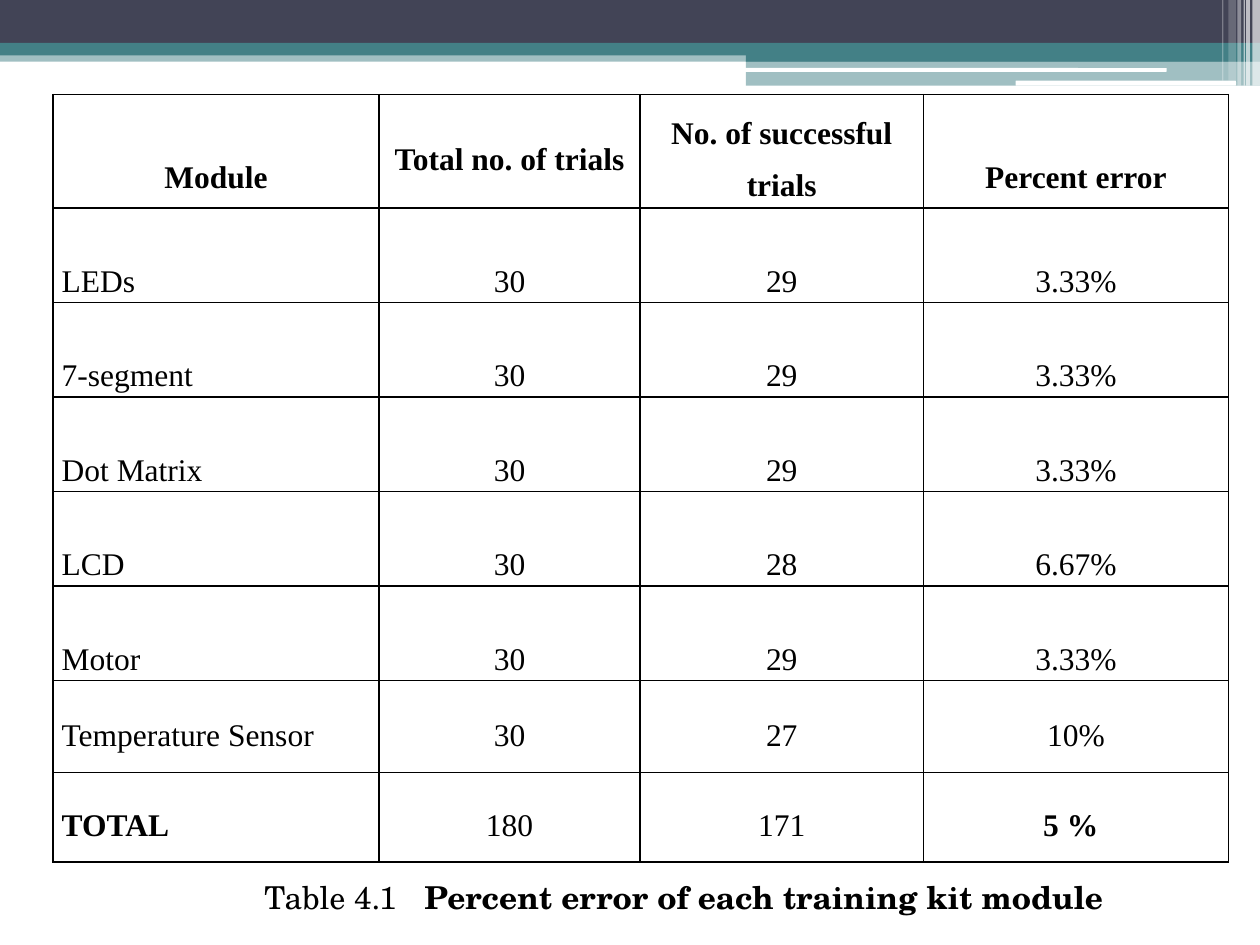
from dataclasses import dataclass

from lxml import etree
from pptx import Presentation
from pptx import util as u
from pptx.dml.color import RGBColor
from pptx.enum import shapes, text
from pptx.oxml import ns

NAVY = RGBColor(0x42, 0x44, 0x56)
TEAL = RGBColor(0x43, 0x80, 0x86)
WHITE = RGBColor(0xFF, 0xFF, 0xFF)
BLACK = RGBColor(0x00, 0x00, 0x00)

SLIDE_W, SLIDE_H = u.Inches(10), u.Inches(7.5)
COLS, ROWS = 100, 75
TABLE_FONT, CAPTION_FONT = "Times New Roman", "TeX Gyre Schola"
CENTER, JUSTIFY, LEFT = text.PP_ALIGN.CENTER, text.PP_ALIGN.JUSTIFY, text.PP_ALIGN.LEFT


@dataclass(frozen=True)
class Band:
    left: float
    top: float
    width: float
    height: float
    color: RGBColor
    opacity: int = 100
    rounded: bool = False


@dataclass(frozen=True)
class Row:
    values: tuple[str, ...]
    height: float
    spacing: tuple[float, ...]
    bold: tuple[bool, ...] = (False,) * 4


BANDS = [
    Band(0, 4, 100, 0.9, TEAL, 50),
    Band(0, 0, 100, 3.4, NAVY),
    Band(0, 3.4, 100, 1, TEAL),
    Band(59.2, 3.9, 40.8, 1, TEAL),
    Band(59.2, 4.8, 40.8, 2, TEAL, 50),
    Band(59.1, 5.4, 33.5, 0.3, WHITE, rounded=True),
    Band(80.6, 6.4, 17.5, 0.4, WHITE, rounded=True),
    Band(99.4, 0, 0.6, 6.8, WHITE, 65),
    Band(98.9, 0, 0.3, 6.8, WHITE, 65),
    Band(98.7, 0, 0.1, 6.8, WHITE, 60),
    Band(98.2, 0, 0.3, 6.8, WHITE, 40),
    Band(97.5, 0, 0.6, 6.4, WHITE, 20),
    Band(97, 0, 0.1, 6.4, WHITE, 30),
]

WIDE, NARROW = (2.5,) * 4, (1.5,) * 4
TABLE_COLS = [25.9, 20.7, 22.5, 24.2]
TABLE_ROWS = [
    Row(("Module", "Total no. of trials", "No. of successful trials", "Percent error"),
        8.8, (2.5, 1.5, 1.5, 2.5), (True,) * 4),
    Row(("LEDs", "30", "29", "3.33%"), 7.4, WIDE),
    Row(("7-segment", "30", "29", "3.33%"), 7.4, WIDE),
    Row(("Dot Matrix", "30", "29", "3.33%"), 7.4, WIDE),
    Row(("LCD", "30", "28", "6.67%"), 7.4, WIDE),
    Row(("Motor", "30", "29", "3.33%"), 7.4, WIDE),
    Row(("Temperature Sensor", "30", "27", "10%"), 7.3, NARROW),
    Row(("TOTAL", "180", "171", "5 %"), 7.1, NARROW, (True, False, False, True)),
]


def across(cols: float) -> int:
    return round(SLIDE_W * cols / COLS)


def down(rows: float) -> int:
    return round(SLIDE_H * rows / ROWS)


def box(left: float, top: float, width: float, height: float) -> tuple[int, int, int, int]:
    return across(left), down(top), across(width), down(height)


def add_band(s, band: Band) -> None:
    kind = shapes.MSO_SHAPE.ROUNDED_RECTANGLE if band.rounded else shapes.MSO_SHAPE.RECTANGLE
    sp = s.shapes.add_shape(kind, *box(band.left, band.top, band.width, band.height))
    sp.shadow.inherit = False
    sp.line.fill.background()
    sp.fill.solid()
    sp.fill.fore_color.rgb = band.color
    if band.opacity < 100:
        color = sp.fill._xPr.find(".//" + ns.qn("a:srgbClr"))
        etree.SubElement(color, ns.qn("a:alpha"), val=str(band.opacity * 1000))


def add_run(p, words: str, font: str, bold: bool = False) -> None:
    r = p.add_run()
    r.text = words
    r.font.name = font
    r.font.size = u.Pt(18)
    r.font.bold = bold
    r.font.color.rgb = BLACK


def add_borders(cell) -> None:
    tc_pr = cell._tc.get_or_add_tcPr()
    for side in ("lnL", "lnR", "lnT", "lnB"):
        ln = etree.SubElement(tc_pr, ns.qn(f"a:{side}"), w=str(u.Pt(1)))
        fill = etree.SubElement(ln, ns.qn("a:solidFill"))
        etree.SubElement(fill, ns.qn("a:srgbClr"), val=str(BLACK))


def fill_cell(cell, words: str, align: text.PP_ALIGN, spacing: float, bold: bool) -> None:
    add_borders(cell)
    cell.fill.background()
    cell.vertical_anchor = text.MSO_ANCHOR.MIDDLE
    cell.margin_left = cell.margin_right = across(0.7)
    cell.margin_top = cell.margin_bottom = 0
    p = cell.text_frame.paragraphs[0]
    p.alignment = align
    p.line_spacing = spacing
    add_run(p, words, TABLE_FONT, bold)


def add_results(s) -> None:
    frame = s.shapes.add_table(
        len(TABLE_ROWS), len(TABLE_COLS),
        *box(4.2, 7.5, sum(TABLE_COLS), sum(row.height for row in TABLE_ROWS)))
    table = frame.table
    table.first_row = table.horz_banding = False
    for column, width in zip(table.columns, TABLE_COLS):
        column.width = across(width)
    for i, row in enumerate(TABLE_ROWS):
        table.rows[i].height = down(row.height)
        for j, words in enumerate(row.values):
            align = JUSTIFY if i and not j else CENTER
            fill_cell(table.cell(i, j), words, align, row.spacing[j], row.bold[j])
    total_error = table.cell(len(TABLE_ROWS) - 1, len(TABLE_COLS) - 1).text_frame.paragraphs[0]
    total_error.alignment = LEFT
    total_error._p.get_or_add_pPr().set("marL", str(across(8.8)))


def add_caption(s) -> None:
    tf = s.shapes.add_textbox(*box(20, 69.2, 70, 7.1)).text_frame
    tf.word_wrap = True
    p = tf.paragraphs[0]
    tabs = etree.SubElement(p._p.get_or_add_pPr(), ns.qn("a:tabLst"))
    etree.SubElement(tabs, ns.qn("a:tab"), pos=str(across(12.7)), algn="l")
    add_run(p, "Table 4.1", CAPTION_FONT)
    add_run(p, "\tPercent error of each training kit module", CAPTION_FONT, True)


def main() -> None:
    prs = Presentation()
    prs.slide_width, prs.slide_height = SLIDE_W, SLIDE_H
    s = prs.slides.add_slide(prs.slide_layouts[6])
    for band in BANDS:
        add_band(s, band)
    add_caption(s)
    add_results(s)
    prs.save("out.pptx")


if __name__ == "__main__":
    main()
